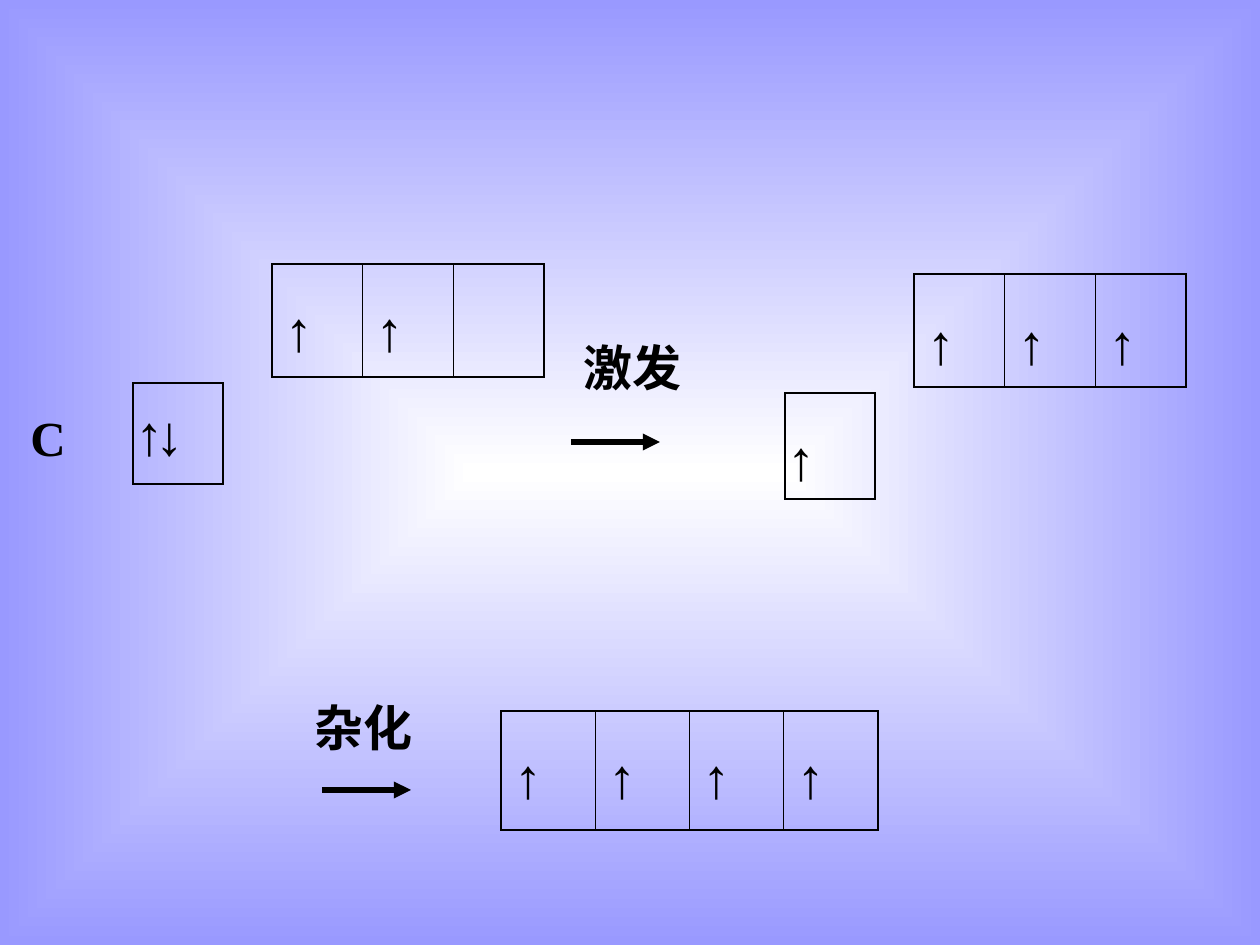
"""Build the slide on excitation and hybridization of the carbon orbitals."""
from dataclasses import dataclass

from lxml import etree
from pptx import Presentation
from pptx import util as u
from pptx.dml.color import RGBColor
from pptx.enum import shapes, text
from pptx.oxml.ns import qn

PX = 914400 / 126
BLACK = RGBColor(0x00, 0x00, 0x00)
WHITE = RGBColor(0xFF, 0xFF, 0xFF)
LILAC = RGBColor(0x99, 0x99, 0xFF)
FONT = "Times New Roman"
OUTER, INNER = 1.08, 0.45


@dataclass
class Orbitals:
    x: int
    y: int
    w: int
    h: int
    electrons: list[str]
    middle: bool = False
    inset: int = 13


@dataclass
class Label:
    x: int
    y: int
    w: int
    h: int
    words: str
    size: int = 28


@dataclass
class Arrow:
    x: int
    y: int
    w: int


ORBITALS = [
    Orbitals(133, 383, 90, 101, [""]),
    Orbitals(272, 264, 272, 113, ["↑", "↑", ""]),
    Orbitals(785, 393, 90, 101, ["↑"], True, 2),
    Orbitals(914, 274, 272, 113, ["↑", "↑", "↑"], True),
    Orbitals(501, 711, 377, 119, ["↑", "↑", "↑", "↑"]),
]
PAIR = [Label(123, 393, 90, 81, "↑", 32), Label(143, 393, 100, 81, "↓", 32)]
ARROWS = [Arrow(571, 442, 89), Arrow(322, 790, 89)]
LABELS = [
    Label(571, 331, 139, 72, "激发"),
    Label(302, 691, 149, 72, "杂化"),
    Label(18, 401, 86, 72, "C"),
]


def px(n: float) -> u.Emu:
    """Turn px into EMU."""
    return u.Emu(round(n * PX))


def style(p, size: int) -> None:
    """Format every run of a paragraph."""
    for r in p.runs:
        r.font.name, r.font.size, r.font.bold = FONT, u.Pt(size), True
        r.font.color.rgb = BLACK


def paint_background(s) -> None:
    """Fill the background with a gradient from the centre to the edges."""
    fill = s.background.fill
    fill.gradient()
    for stop, color, position in zip(fill.gradient_stops, (WHITE, LILAC), (0, 1)):
        stop.color.rgb, stop.position = color, position
    lin = next(s.element.iter(qn("a:lin")))
    path = etree.Element(qn("a:path"), path="rect")
    etree.SubElement(path, qn("a:fillToRect"), {side: "50000" for side in "ltrb"})
    lin.getparent().replace(lin, path)


def set_borders(cell, widths: dict[str, float]) -> None:
    """Draw the four sides of a cell, given widths in points."""
    tc_pr = cell._tc.get_or_add_tcPr()
    for i, (side, width) in enumerate(widths.items()):
        ln = etree.Element(qn(f"a:ln{side}"), w=str(u.Pt(width)))
        solid = etree.SubElement(ln, qn("a:solidFill"))
        etree.SubElement(solid, qn("a:srgbClr"), val=str(BLACK))
        tc_pr.insert(i, ln)


def add_orbitals(s, o: Orbitals) -> None:
    """Add a row of orbital boxes with their electrons."""
    count = len(o.electrons)
    table = s.shapes.add_table(1, count, px(o.x), px(o.y), px(o.w), px(o.h)).table
    table.first_row = table.horz_banding = False
    for i, electron in enumerate(o.electrons):
        table.columns[i].width = px(o.w / count)
        cell = table.cell(0, i)
        cell.fill.background()
        cell.margin_left = cell.margin_right = px(o.inset)
        if o.middle:
            cell.vertical_anchor = text.MSO_ANCHOR.MIDDLE
        set_borders(cell, {
            "L": OUTER if i == 0 else INNER,
            "R": OUTER if i == count - 1 else INNER,
            "T": OUTER,
            "B": OUTER,
        })
        if electron:
            p = cell.text_frame.paragraphs[0]
            p.text, p.line_spacing = electron, 1.5
            style(p, 32)


def add_label(parent, label: Label) -> None:
    """Add a text box to a slide or a group."""
    sp = parent.shapes.add_textbox(px(label.x), px(label.y), px(label.w), px(label.h))
    tf = sp.text_frame
    tf.word_wrap = True
    tf.auto_size = text.MSO_AUTO_SIZE.SHAPE_TO_FIT_TEXT
    tf.text = label.words
    style(tf.paragraphs[0], label.size)


def add_arrow(s, a: Arrow) -> None:
    """Add a horizontal arrow pointing right."""
    line = s.shapes.add_connector(
        shapes.MSO_CONNECTOR.STRAIGHT, px(a.x), px(a.y), px(a.x + a.w), px(a.y))
    line.line.color.rgb, line.line.width = BLACK, u.Pt(3.25)
    etree.SubElement(line.line._get_or_add_ln(), qn("a:tailEnd"), type="triangle")
    etree.SubElement(line._element.spPr, qn("a:effectLst"))


def main() -> None:
    """Build and save the slide."""
    prs = Presentation()
    prs.slide_width, prs.slide_height = px(1260), px(945)
    s = prs.slides.add_slide(prs.slide_layouts[6])
    paint_background(s)
    for orbitals in ORBITALS:
        add_orbitals(s, orbitals)
    pair = s.shapes.add_group_shape()
    for electron in PAIR:
        add_label(pair, electron)
    for arrow in ARROWS:
        add_arrow(s, arrow)
    for label in LABELS:
        add_label(s, label)
    prs.save("out.pptx")


if __name__ == "__main__":
    main()
